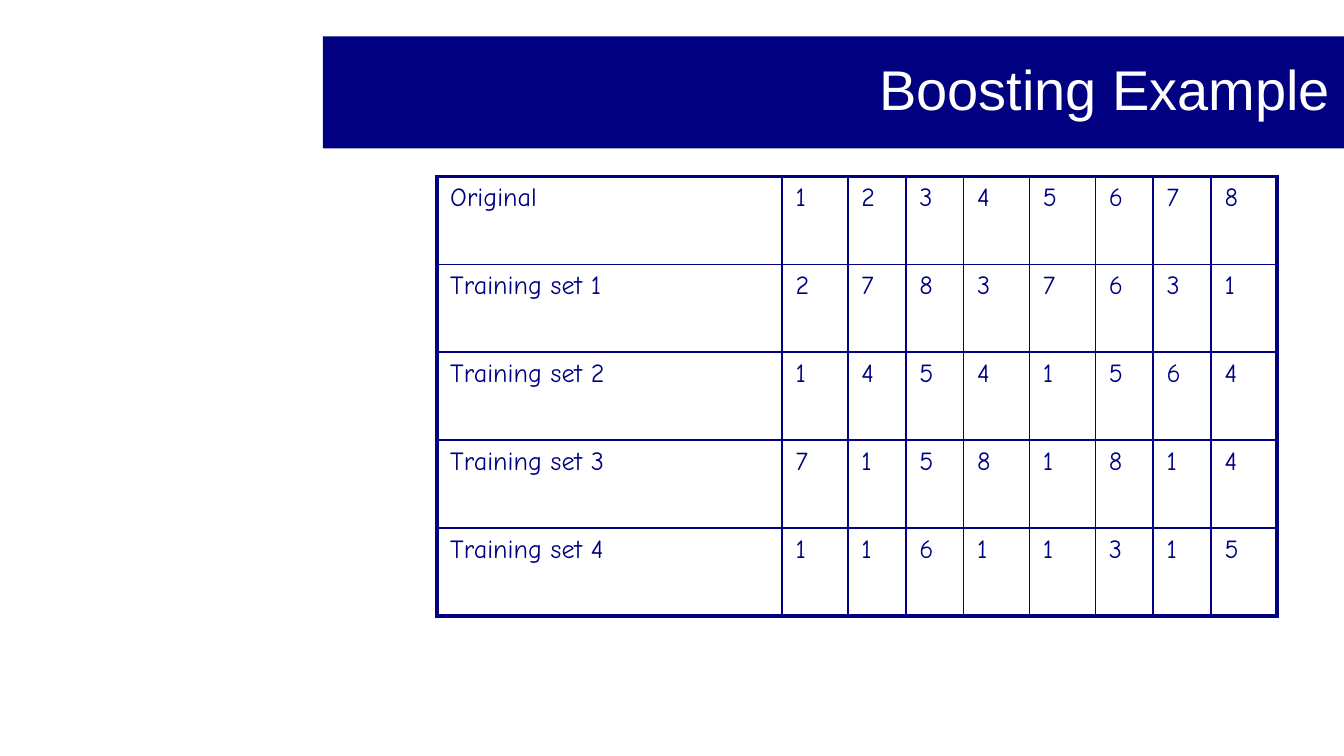
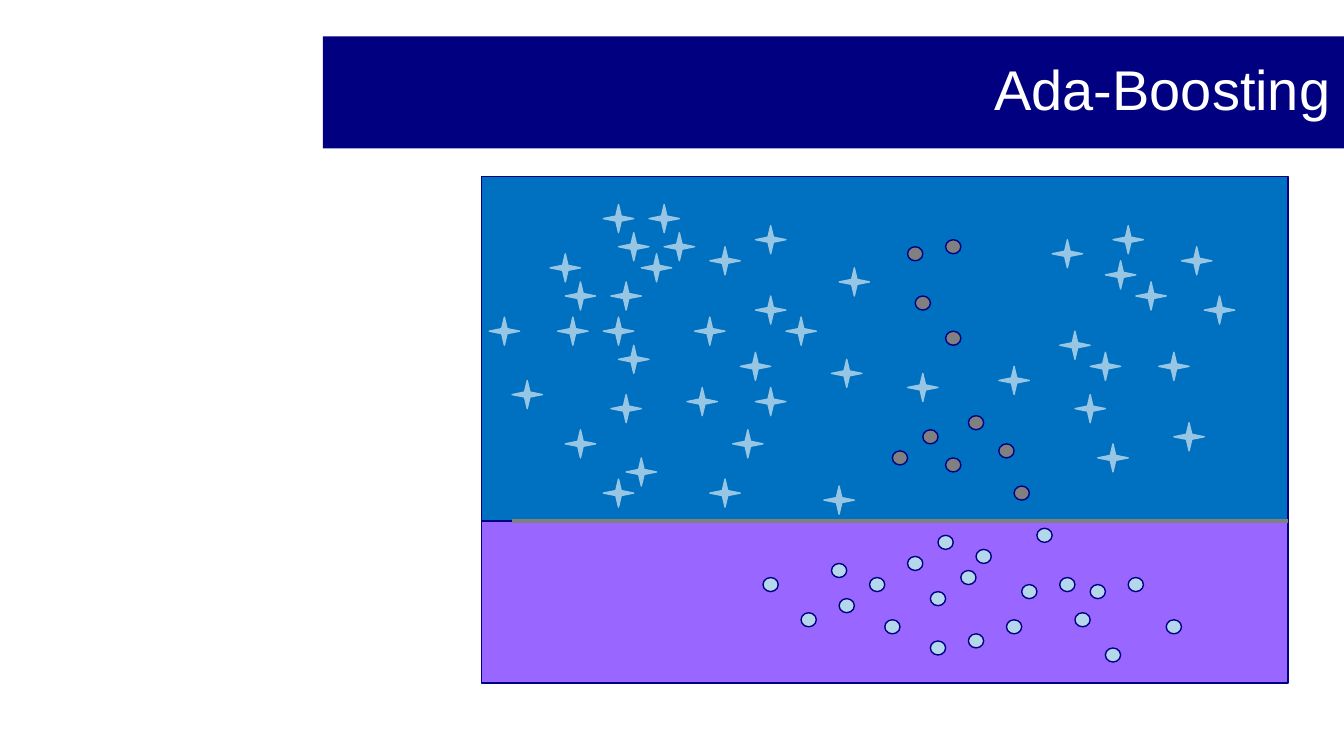
from lxml import etree
from pptx import Presentation
from pptx.dml.color import RGBColor
from pptx.enum.shapes import MSO_CONNECTOR, MSO_SHAPE
from pptx.enum.text import MSO_ANCHOR, MSO_AUTO_SIZE, PP_ALIGN
from pptx.oxml import parse_xml
from pptx.oxml.ns import nsdecls, qn
from pptx.util import Pt

RECT = MSO_SHAPE.RECTANGLE
OVAL = MSO_SHAPE.OVAL
STAR = MSO_SHAPE.STAR_4_POINT
STRAIGHT = MSO_CONNECTOR.STRAIGHT
RIGHT = PP_ALIGN.RIGHT
MIDDLE = MSO_ANCHOR.MIDDLE
NO_AUTOFIT = MSO_AUTO_SIZE.NONE

COLORS = {
    "navy": "000080",
    "white": "FFFFFF",
    "blue": "0070C0",
    "purple": "9966FF",
    "pale": "B4D7EB",
    "gray": "808080",
    "star": "97C6E4",
}
RGB = {name: RGBColor.from_string(value) for name, value in COLORS.items()}

prs = Presentation()
prs.slide_width, prs.slide_height = Pt(720), Pt(405)


def add_slide(title):
    s = prs.slides.add_slide(prs.slide_layouts[5])
    sp = s.shapes.title
    sp.left, sp.top, sp.width, sp.height = Pt(173), Pt(19.5), Pt(547), Pt(60)
    sp.fill.solid()
    sp.fill.fore_color.rgb = RGB["navy"]
    tf = sp.text_frame
    tf.text = title
    tf.auto_size = NO_AUTOFIT
    tf.vertical_anchor = MIDDLE
    tf.margin_left = tf.margin_right = tf.margin_top = tf.margin_bottom = Pt(7.2)
    p = tf.paragraphs[0]
    p.alignment = RIGHT
    p.line_spacing = 0.9
    font = p.runs[0].font
    font.name, font.size = "Arial", Pt(30)
    font.color.rgb = RGB["white"]
    return s


s = add_slide("Boosting Example")
samples = [
    ("Original", "12345678"),
    ("Training set 1", "27837631"),
    ("Training set 2", "14541564"),
    ("Training set 3", "71581814"),
    ("Training set 4", "11611315"),
]
col_widths = [185, 35.3, 31, 31, 35.3, 35.3, 31, 31, 35.3]
last_row, last_col = len(samples) - 1, len(col_widths) - 1
tbl = s.shapes.add_table(
    len(samples), len(col_widths), Pt(234), Pt(94.5), Pt(sum(col_widths)), Pt(235.5)
).table
tbl.first_row = tbl.horz_banding = False
for col, width in zip(tbl.columns, col_widths):
    col.width = Pt(width)
for i, (label, digits) in enumerate(samples):
    tbl.rows[i].height = Pt(47.1)
    for j, text in enumerate([label, *digits]):
        cell = tbl.cell(i, j)
        cell.fill.background()
        cell.text = text
        p = cell.text_frame.paragraphs[0]
        p.space_before = Pt(2.8)
        font = p.runs[0].font
        font.name, font.size = "Comic Neue", Pt(14)
        font.color.rgb = RGB["navy"]
        outer = {"L": j == 0, "R": j == last_col, "T": i == 0, "B": i == last_row}
        tcPr = cell._tc.get_or_add_tcPr()
        for k, (side, is_outer) in enumerate(outer.items()):
            width = Pt(2.25 if is_outer else 1)
            tcPr.insert(k, parse_xml(
                f'<a:ln{side} {nsdecls("a")} w="{width}"><a:solidFill>'
                f'<a:srgbClr val="{COLORS["navy"]}"/></a:solidFill></a:ln{side}>'
            ))

s = add_slide("Ada-Boosting")
plot = s.shapes.add_group_shape().shapes
LEFT, TOP = 258, 94.5
COLS, ROWS, SPLIT = 106, 72, 49
DX, DY = 432 / COLS, 271.5 / ROWS


def add_mark(kind, x, y, w, h, fill, line):
    sp = plot.add_shape(
        kind, Pt(LEFT + x * DX), Pt(TOP + y * DY), Pt(w * DX), Pt(h * DY)
    )
    sp.shadow.inherit = False
    sp.fill.solid()
    sp.fill.fore_color.rgb = RGB[fill]
    sp.line.color.rgb = RGB[line]
    sp.line.width = Pt(0.75)
    return sp


add_mark(RECT, 0, 0, COLS, SPLIT, "blue", "navy")
add_mark(RECT, 0, SPLIT, COLS, ROWS - SPLIT, "purple", "navy")

dots = {
    "pale": [
        (46, 55), (47, 60), (65, 53), (59, 59), (63, 56), (56, 54), (37, 57),
        (53, 63), (59, 66), (42, 62), (64, 65), (71, 58), (73, 50), (76, 57),
        (80, 58), (78, 62), (85, 57), (69, 63), (51, 57), (60, 51), (82, 67),
        (90, 63),
    ],
    "gray": [
        (61, 22), (70, 44), (64, 34), (54, 39), (61, 40), (58, 36), (57, 17),
        (61, 9), (68, 38), (56, 10),
    ],
}
for fill, points in dots.items():
    for x, y in points:
        add_mark(OVAL, x, y, 2, 2, fill, "navy")

stars = [
    (80, 25), (76, 22), (68, 27), (89, 25), (36, 30), (28, 20), (56, 28), (27, 30),
    (81, 38), (78, 31), (17, 31), (10, 20), (4, 29), (16, 20), (18, 24), (21, 11),
    (30, 10), (36, 17), (22, 4), (24, 8), (40, 20), (9, 11), (11, 15), (46, 26),
    (17, 15), (86, 15), (33, 36), (16, 4), (18, 8), (83, 7), (45, 44), (47, 13),
    (30, 43), (34, 25), (82, 12), (36, 7), (75, 9), (1, 20), (16, 43), (92, 10),
    (11, 36), (95, 17), (91, 35), (19, 40),
]
for x, y in stars:
    sp = add_mark(STAR, x, y, 4, 4, "star", "star")
    sp.adjustments[0] = 0.125

split_y = Pt(TOP + SPLIT * DY)
line = plot.add_connector(
    STRAIGHT, Pt(LEFT + 4 * DX), split_y, Pt(LEFT + COLS * DX), split_y
)
line.line.color.rgb = RGB["gray"]
line.line.width = Pt(2.25)
etree.SubElement(line._element.spPr, qn("a:effectLst"))

prs.save("out.pptx")
